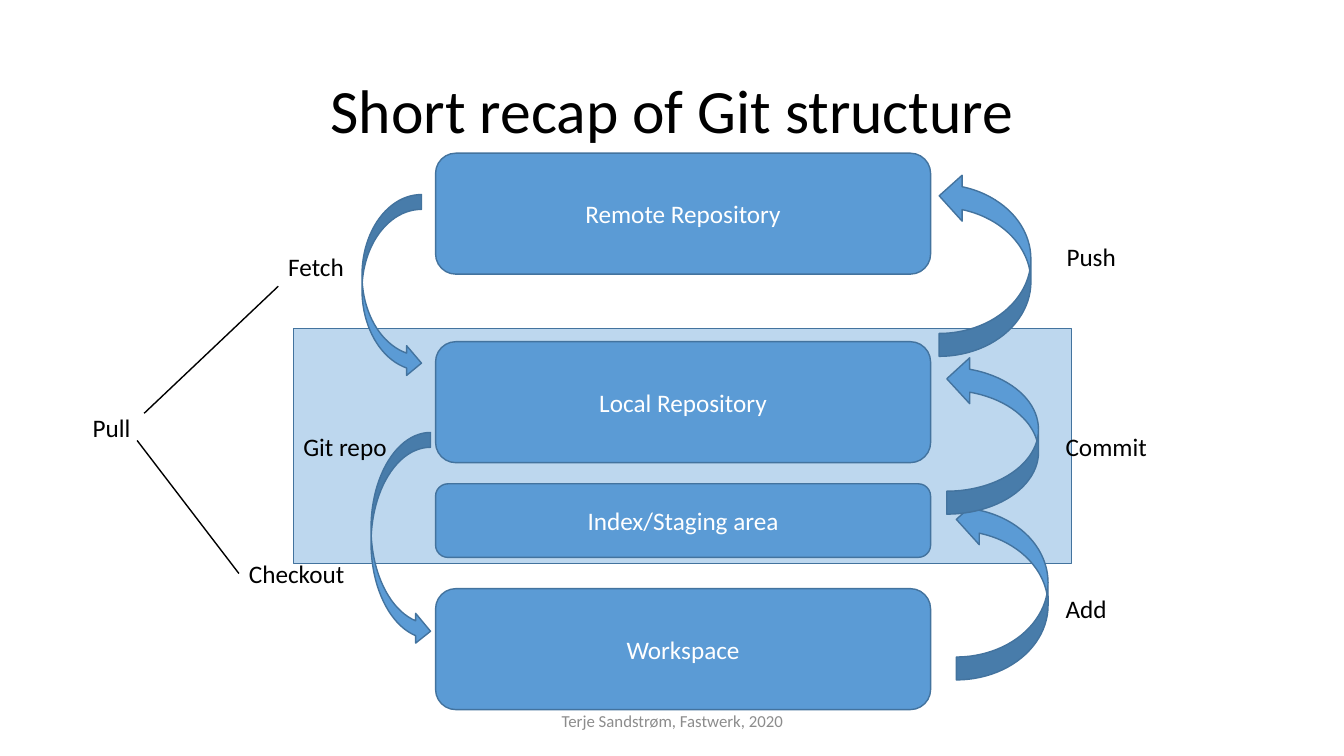
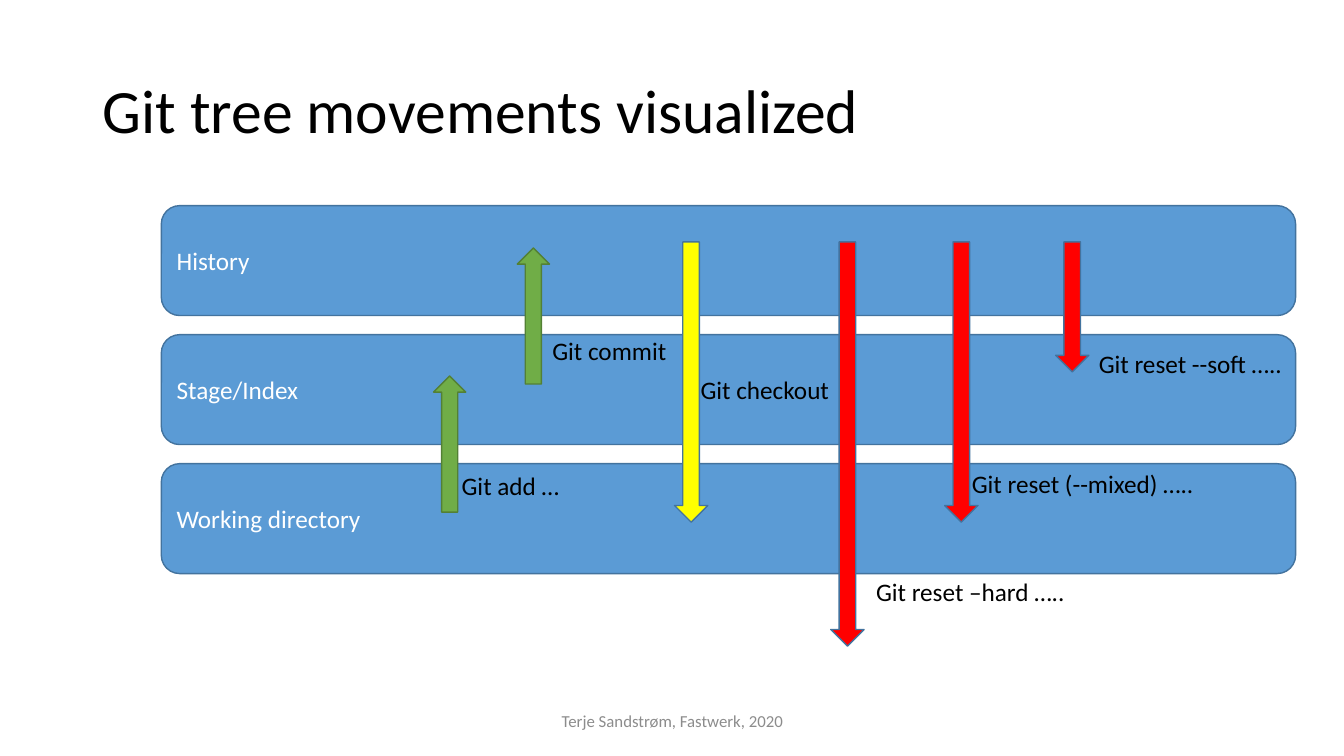
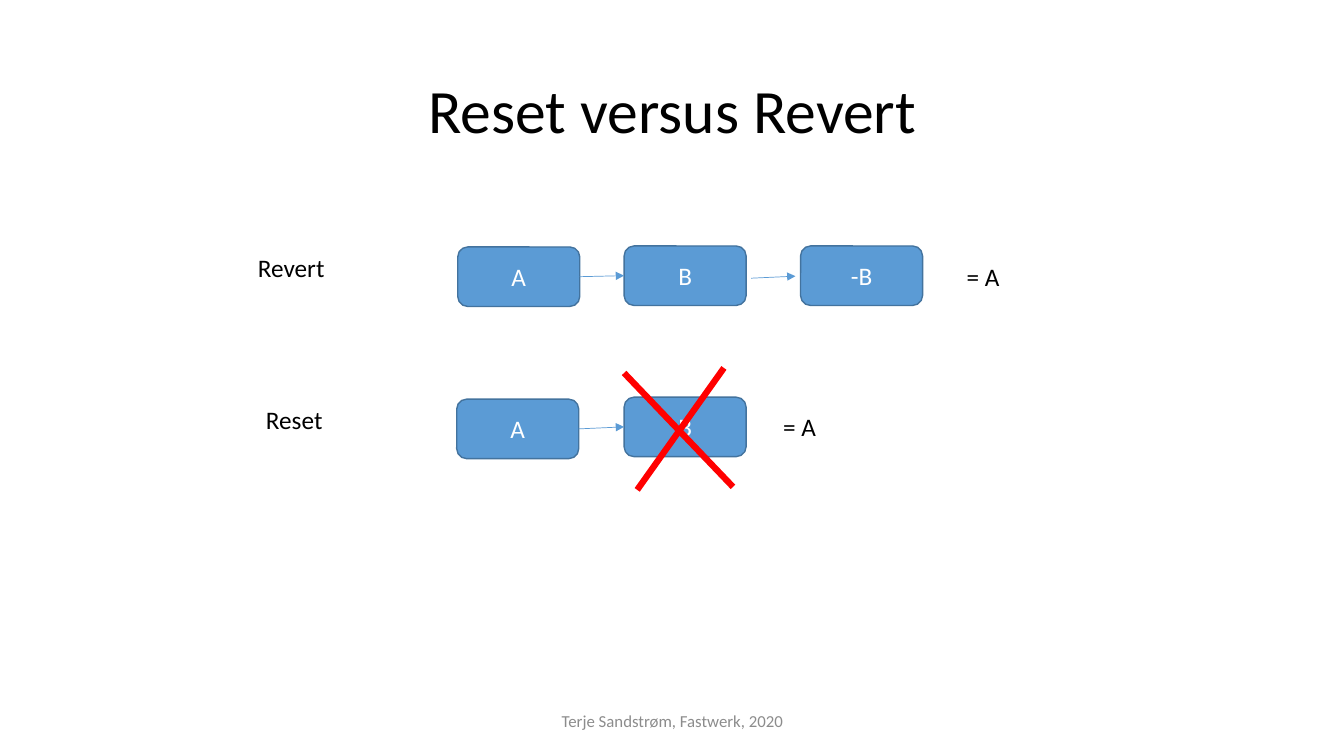
from lxml import etree
from pptx import Presentation
from pptx import util as u
from pptx.dml.color import RGBColor
from pptx.enum import shapes, text
from pptx.oxml import ns

PX = 9144  # 100 px to the inch
FONT = "Calibri"
FOOTER = "Terje Sandstrøm, Fastwerk, 2020"
HUES = {
    "ink": "000000",
    "white": "FFFFFF",
    "grey": "8C8C8C",
    "blue": "5B9BD5",
    "pale": "BDD7EE",
    "edge": "43739E",
    "red": "FF0000",
    "yellow": "FFFF00",
    "green": "70AD47",
    "moss": "538035",
}
KIND = shapes.MSO_SHAPE
ALIGN = text.PP_ALIGN
ANCHOR = text.MSO_ANCHOR
LEFT, RIGHT = 1, 3  # connection sites of a rectangle


def px(*sizes):
    return [u.Emu(size * PX) for size in sizes]


def hue(name):
    return RGBColor.from_string(HUES[name])


def write(shape, words, size=18, color="ink", align=ALIGN.LEFT,
          anchor=ANCHOR.MIDDLE, wrap=True, fit=text.MSO_AUTO_SIZE.NONE,
          space=None):
    frame = shape.text_frame
    frame.word_wrap = wrap
    frame.auto_size = fit
    frame.vertical_anchor = anchor
    line = frame.paragraphs[0]
    line.alignment = align
    line.line_spacing = space
    run = line.add_run()
    run.text = words
    run.font.name = FONT
    run.font.size = u.Pt(size)
    run.font.color.rgb = hue(color)


def label(page, words, x, y, w, h=40, wrap=False):
    box = page.shapes.add_textbox(*px(x, y, w, h))
    write(box, words, anchor=ANCHOR.TOP, wrap=wrap,
          fit=text.MSO_AUTO_SIZE.SHAPE_TO_FIT_TEXT)
    return box


def block(page, kind, box, fill="blue", edge="edge"):
    shape = page.shapes.add_shape(kind, *px(*box))
    shape.shadow.inherit = False
    shape.fill.solid()
    shape.fill.fore_color.rgb = hue(fill)
    shape.line.color.rgb = hue(edge)
    shape.line.width = u.Pt(1)
    return shape


def card(page, words, box, align=ALIGN.CENTER):
    shape = block(page, KIND.ROUNDED_RECTANGLE, box)
    write(shape, words, color="white", align=align)
    return shape


def stroke(page, start, end, color="ink", width=1, head=False):
    line = page.shapes.add_connector(
        shapes.MSO_CONNECTOR.STRAIGHT, *px(*start, *end))
    line.line.color.rgb = hue(color)
    line.line.width = u.Pt(width)
    if head:
        tail = etree.SubElement(line.line._get_or_add_ln(),
                                ns.qn("a:tailEnd"))
        tail.set("type", "triangle")
    etree.SubElement(line._element.spPr, ns.qn("a:effectLst"))
    return line


def add_page(deck, title, align=ALIGN.CENTER):
    """Add a slide with the shared title and footer."""
    page = deck.slides.add_slide(deck.slide_layouts[5])
    head = page.shapes.title
    head.left, head.top, head.width, head.height = px(92, 40, 1150, 145)
    write(head, title, size=44, align=align, space=0.9)
    foot = page.shapes.add_textbox(*px(442, 695, 450, 40))
    write(foot, FOOTER, size=12, color="grey", align=ALIGN.CENTER)
    return page


def stack(page, x, y, w):
    """Draw the four places that hold the files."""
    for words, drop, h in (("Workspace", 432, 120),
                           ("Index/Staging area", 328, 73),
                           ("Local Repository", 187, 120),
                           ("Remote Repository", 0, 120)):
        card(page, words, (x, y + drop, w, h))


def climb(page, x, y):
    """Draw the arrows that rise from the workspace to the remote."""
    w = 91
    for words, dx, dy, h, tx, ty, tw in (
            ("Add", 17, 321, 182, 116, 412, 61),
            ("Commit", 8, 181, 157, 116, 251, 102),
            ("Push", 0, 0, 182, 117, 62, 70)):
        # The box is laid flat here and turned about its centre.
        shift = (h - w) // 2
        arrow = block(page, KIND.CURVED_UP_ARROW,
                      (x + dx - shift, y + dy + shift, h, w))
        arrow.rotation = 270
        label(page, words, x + tx, y + ty, tw)


def pull(page, x, y):
    """Draw the arrows that come down, and the label that joins them."""
    for dx, dy, h in ((277, 0, 182), (286, 236, 212)):
        block(page, KIND.CURVED_RIGHT_ARROW, (x + dx, y + dy, 59, h))
    label(page, "Fetch", x + 194, y + 51, 89)
    out = label(page, "Checkout", x + 155, y + 356, 142)
    label(page, "Pull", x, y + 211, 61)
    stroke(page, (x + 61, y + 217), (x + 194, y + 91))
    leg = stroke(page, (x + 54, y + 244), (x + 155, y + 376))
    leg.end_connect(out, LEFT)


def recap(deck):
    page = add_page(deck, "Short recap of Git structure")
    band = block(page, KIND.RECTANGLE, (291, 326, 772, 233), fill="pale")
    write(band, "Git repo")
    stack(page, 432, 152, 491)
    climb(page, 931, 172)
    pull(page, 82, 193)


def lanes(page, x, y, w, h, step):
    for row, words in enumerate(
            ("History", "Stage/Index", "Working directory")):
        card(page, words, (x, y + row * step, w, h), align=ALIGN.LEFT)


def moves(page, x, y):
    """Draw each command as an arrow with its label beside it."""
    down, up = KIND.DOWN_ARROW, KIND.UP_ARROW
    for words, kind, fill, edge, dx, dy, w, h, tx, ty, tw in (
            ("Git reset –hard …..", down, "red", "edge",
             394, 0, 33, 401, 429, 327, 209),
            ("Git reset (--mixed) …..", down, "red", "edge",
             507, 0, 33, 278, 524, 220, 242),
            ("Git reset --soft …..", down, "red", "edge",
             617, 0, 33, 129, 650, 101, 204),
            ("Git add …", up, "green", "moss",
             0, 133, 32, 135, 18, 222, 118),
            ("Git commit", up, "green", "moss",
             83, 6, 32, 135, 108, 88, 140),
            ("Git checkout", down, "yellow", "edge",
             239, 0, 33, 278, 255, 126, 149)):
        block(page, kind, (x + dx, y + dy, w, h), fill, edge)
        label(page, words, x + tx, y + ty, tw)


def trees(deck):
    page = add_page(deck, "Git tree movements visualized", ALIGN.LEFT)
    lanes(page, 160, 204, 1125, 109, 128)
    moves(page, 430, 240)


def chain(page, name, spot, nodes, sum_at):
    """Draw a row of commits, the first two joined, and its result."""
    label(page, name, *spot, 124, wrap=True)
    cards = [card(page, words, (x, y, 121, 59)) for words, x, y in nodes]
    link = stroke(page, (0, 0), (1, 1), "blue", 0.5, head=True)
    link.begin_connect(cards[0], RIGHT)
    link.end_connect(cards[1], LEFT)
    label(page, "= A", *sum_at, 124, wrap=True)


def cross(page, x, y):
    stroke(page, (x, y + 5), (x + 108, y + 118), "red", 4.5)
    stroke(page, (x + 99, y), (x + 13, y + 121), "red", 4.5)


def versus(deck):
    page = add_page(deck, "Reset versus Revert")
    chain(page, "Revert", (246, 245),
          (("A", 454, 245), ("B", 619, 244), ("-B", 794, 244)), (949, 254))
    stroke(page, (745, 276), (789, 274), "blue", 0.5, head=True)
    chain(page, "Reset", (254, 396),
          (("A", 453, 396), ("B", 619, 394)), (767, 403))
    cross(page, 619, 365)


def main():
    deck = Presentation()
    deck.slide_width, deck.slide_height = px(1333, 750)
    for build in (recap, trees, versus):
        build(deck)
    deck.save("out.pptx")


if __name__ == "__main__":
    main()
